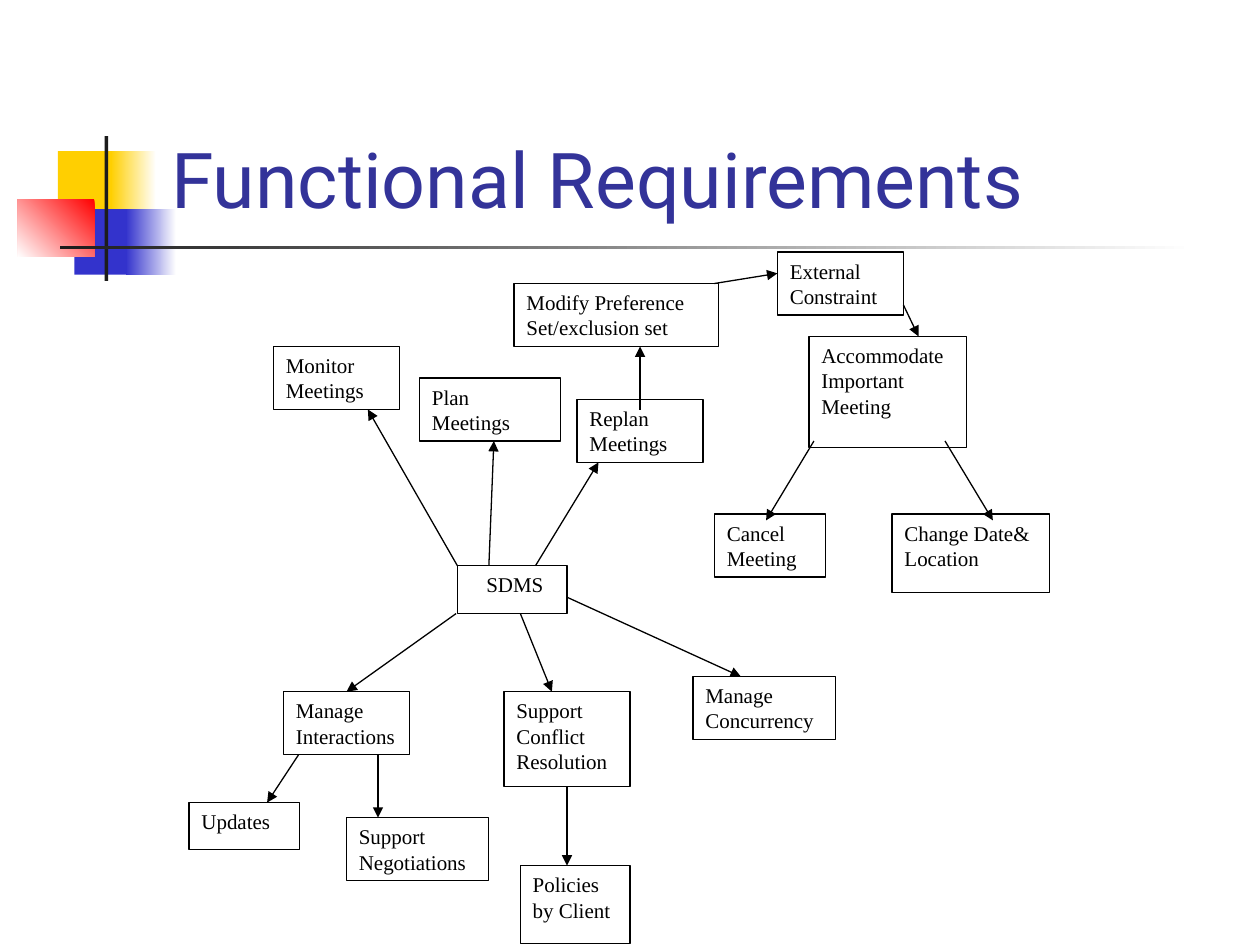
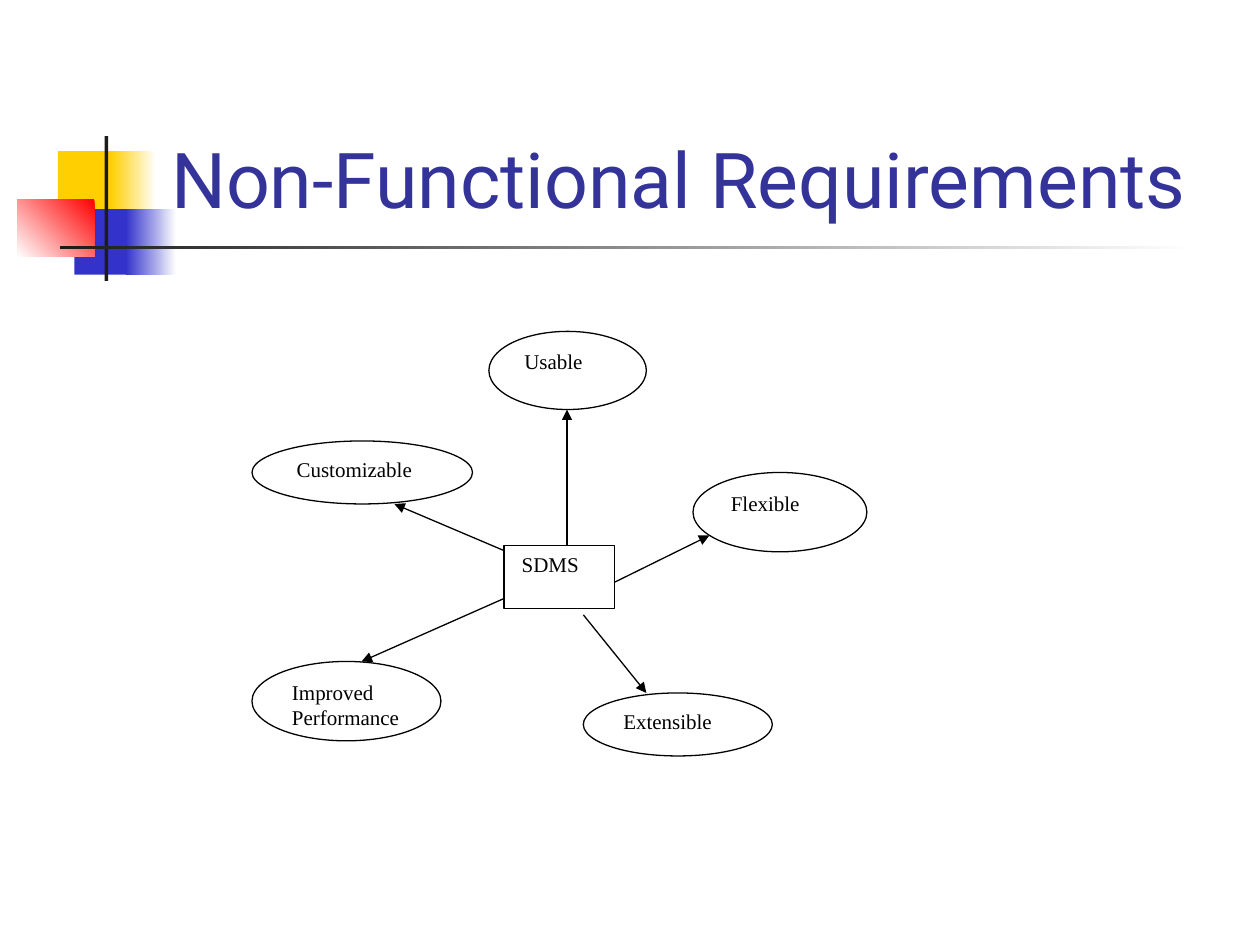
from lxml.etree import SubElement
from pptx import Presentation
from pptx.dml.color import RGBColor
from pptx.enum.shapes import MSO_CONNECTOR as Connector, MSO_SHAPE as Shape
from pptx.enum.text import MSO_ANCHOR as Anchor
from pptx.oxml.ns import qn
from pptx.util import Emu, Pt

EMU_PER_PX = 9144
COLORS = {
    "yellow": "FFCF01",
    "blue": "3333CC",
    "red": "FF0000",
    "dark": "1C1C1C",
    "title": "333399",
    "white": "FFFFFF",
    "black": "000000",
}
TITLE_FONT, TITLE_SIZE = "Roboto", 44
NODE_FONT, NODE_SIZE = "Times New Roman", 12
LINE_WIDTH = 0.75
INSET_X, INSET_Y = 10, 5
TITLE_BOX = (126, 23, 852, 160)

DECORATION = [
    ((46, 120, 48, 52), ["yellow"], None),
    ((88, 120, 36, 52), ["white", "yellow"], 180),
    ((59, 166, 46, 52), ["blue"], None),
    ((100, 166, 40, 52), ["white", "blue"], 180),
    ((14, 158, 61, 46), ["red", "white"], 225),
    ((83, 108, 3, 115), ["dark"], None),
    ((48, 195, 900, 3), ["white", "dark"], 180),
]

SLIDES = [
    {
        "title": "Functional Requirements",
        "back_nodes": [
            ("SDMS", Shape.RECTANGLE, (363, 449, 87, 38), 13),
            ("Monitor Meetings", Shape.RECTANGLE, (217, 275, 100, 50), 0),
            ("Plan Meetings", Shape.RECTANGLE, (333, 300, 112, 50), 0),
            ("Replan Meetings", Shape.RECTANGLE, (458, 317, 100, 50), 0),
            ("Modify Preference Set/exclusion set", Shape.RECTANGLE, (408, 225, 162, 50), 0),
            ("External Constraint", Shape.RECTANGLE, (617, 200, 100, 50), 0),
            ("Accommodate Important Meeting", Shape.RECTANGLE, (642, 267, 125, 88), 0),
            ("Cancel Meeting", Shape.RECTANGLE, (567, 408, 88, 50), 0),
            ("Change Date& Location", Shape.RECTANGLE, (708, 408, 125, 62), 0),
            ("Manage Concurrency", Shape.RECTANGLE, (550, 537, 113, 50), 0),
            ("Support Conflict Resolution", Shape.RECTANGLE, (400, 549, 100, 75), 0),
            ("Policies by Client", Shape.RECTANGLE, (413, 687, 87, 62), 0),
            ("Manage Interactions", Shape.RECTANGLE, (225, 549, 100, 50), 0),
            ("Updates", Shape.RECTANGLE, (150, 637, 88, 37), 0),
            ("Support Negotiations", Shape.RECTANGLE, (275, 649, 113, 50), 0),
        ],
        "arrows": [
            ((362, 487), (275, 549)),
            ((413, 487), (438, 549)),
            ((450, 474), (588, 537)),
            ((425, 449), (475, 367)),
            ((388, 449), (392, 350)),
            ((363, 449), (292, 325)),
            ((237, 599), (212, 637)),
            ((300, 599), (300, 649)),
            ((450, 624), (450, 687)),
            ((567, 225), (617, 217)),
            ((717, 242), (729, 267)),
            ((646, 350), (608, 413)),
            ((750, 350), (788, 413)),
            ((508, 325), (508, 275)),
        ],
        "front_nodes": [],
    },
    {
        "title": "Non-Functional Requirements",
        "back_nodes": [
            ("Usable", Shape.OVAL, (388, 263, 125, 62), 0),
            ("Customizable", Shape.OVAL, (200, 350, 175, 50), 0),
            ("Flexible", Shape.OVAL, (550, 375, 138, 63), 0),
        ],
        "arrows": [
            ((400, 475), (287, 525)),
            ((463, 488), (513, 550)),
            ((488, 462), (563, 425)),
            ((450, 438), (450, 325)),
            ((400, 437), (313, 400)),
        ],
        "front_nodes": [
            ("Extensible", Shape.OVAL, (463, 550, 150, 50), 0),
            ("Improved Performance", Shape.OVAL, (200, 525, 150, 63), 0),
            ("SDMS", Shape.RECTANGLE, (400, 433, 88, 50), 4),
        ],
    },
]


def px(*lengths):
    return [Emu(length * EMU_PER_PX) for length in lengths]


def color(name):
    return RGBColor.from_string(COLORS[name])


def write_text(shape, text, font_name, size, color_name, anchor, indent=0):
    frame = shape.text_frame
    frame.word_wrap = True
    frame.vertical_anchor = anchor
    frame.margin_left, frame.margin_right = px(INSET_X + indent, INSET_X)
    frame.margin_top, frame.margin_bottom = px(INSET_Y, INSET_Y)
    paragraph = frame.paragraphs[0]
    paragraph.alignment = 1
    run = paragraph.add_run()
    run.text = text
    run.font.name = font_name
    run.font.size = Pt(size)
    run.font.color.rgb = color(color_name)


def add_decoration(slide):
    for box, fill_colors, angle in DECORATION:
        shape = slide.shapes.add_shape(Shape.RECTANGLE, *px(*box))
        shape.shadow.inherit = False
        shape.line.fill.background()
        if angle is None:
            shape.fill.solid()
            shape.fill.fore_color.rgb = color(fill_colors[0])
        else:
            shape.fill.gradient()
            shape.fill.gradient_angle = angle
            for stop, name in zip(shape.fill.gradient_stops, fill_colors):
                stop.color.rgb = color(name)


def add_title(slide, text):
    box = slide.shapes.add_textbox(*px(*TITLE_BOX))
    write_text(box, text, TITLE_FONT, TITLE_SIZE, "title", Anchor.BOTTOM)


def add_node(slide, text, kind, box, indent):
    shape = slide.shapes.add_shape(kind, *px(*box))
    shape.shadow.inherit = False
    shape.fill.solid()
    shape.fill.fore_color.rgb = color("white")
    shape.line.color.rgb = color("black")
    shape.line.width = Pt(LINE_WIDTH)
    write_text(shape, text, NODE_FONT, NODE_SIZE, "black", Anchor.TOP, indent)
    return kind, box, shape


def join_at_side(connect, point, nodes):
    for kind, (left, top, width, height), shape in nodes:
        if kind != Shape.RECTANGLE:
            continue
        middle_x, middle_y = left + width / 2, top + height / 2
        sides = [(middle_x, top), (left, middle_y),
                 (middle_x, top + height), (left + width, middle_y)]
        for index, (x, y) in enumerate(sides):
            if max(abs(x - point[0]), abs(y - point[1])) <= 1:
                connect(shape, index)


def add_arrow(slide, start, end, nodes):
    arrow = slide.shapes.add_connector(Connector.STRAIGHT, *px(*start, *end))
    join_at_side(arrow.begin_connect, start, nodes)
    join_at_side(arrow.end_connect, end, nodes)
    arrow.line.color.rgb = color("black")
    arrow.line.width = Pt(LINE_WIDTH)
    properties = arrow._element.spPr
    SubElement(properties.find(qn("a:ln")), qn("a:tailEnd"), type="triangle")
    SubElement(properties, qn("a:effectLst"))


def main():
    presentation = Presentation()
    presentation.slide_width, presentation.slide_height = px(1000, 750)
    for content in SLIDES:
        slide = presentation.slides.add_slide(presentation.slide_layouts[6])
        add_decoration(slide)
        add_title(slide, content["title"])
        nodes = [add_node(slide, *node) for node in content["back_nodes"]]
        for start, end in content["arrows"]:
            add_arrow(slide, start, end, nodes)
        for node in content["front_nodes"]:
            add_node(slide, *node)
    presentation.save("out.pptx")


if __name__ == "__main__":
    main()
